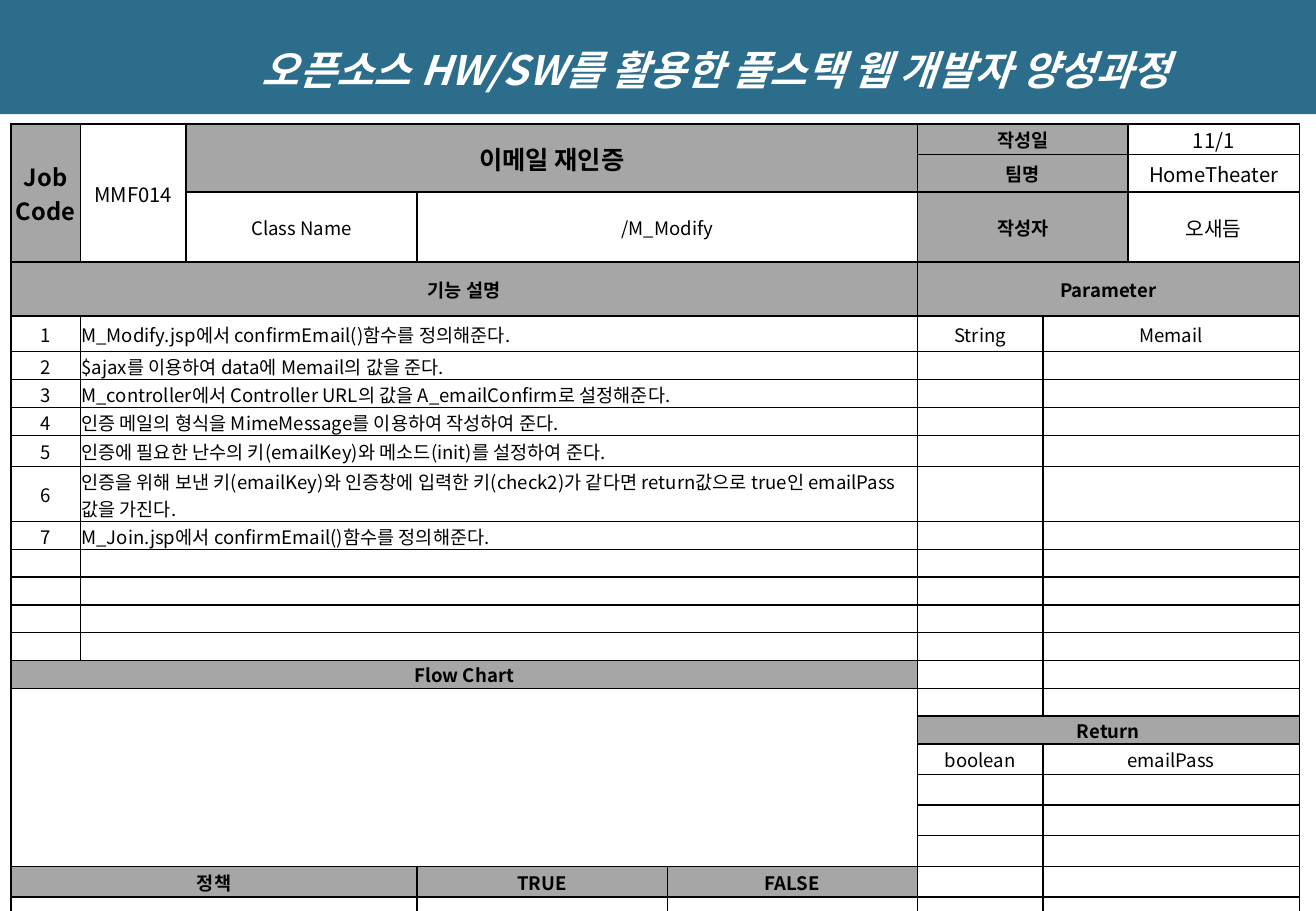
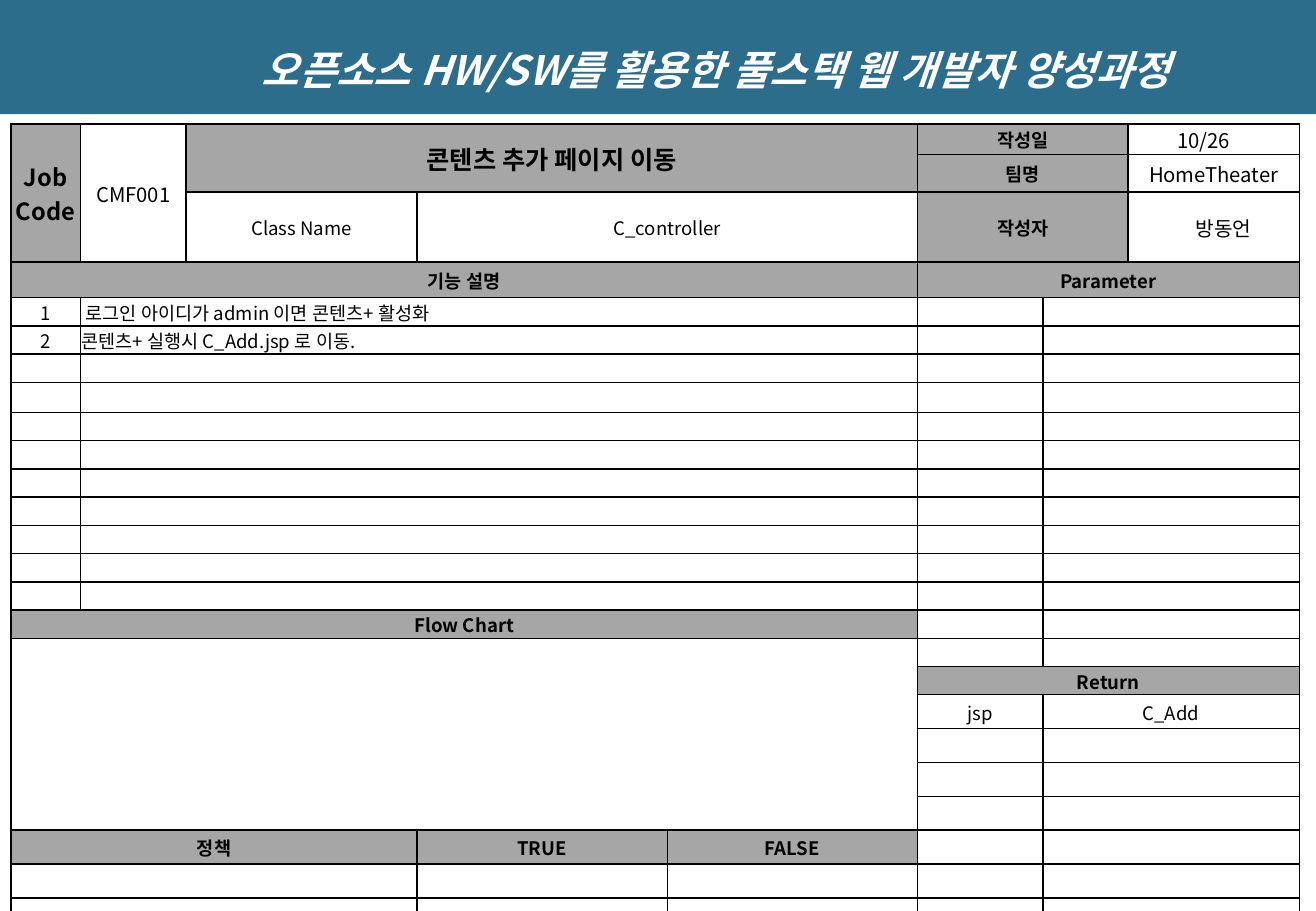
from lxml import etree
from pptx import Presentation, util as u
from pptx.dml.color import RGBColor
from pptx.enum import text as t
from pptx.oxml.ns import qn

FONT = "Noto Sans CJK KR"
BAND, GREY, WHITE, BLACK = "2C6D8B", "A6A6A6", "FFFFFF", "000000"
COURSE = "오픈소스 HW/SW를 활용한 풀스택 웹 개발자 양성과정"

# Geometry in centimetres
SLIDE_WIDTH, SLIDE_HEIGHT = 27.51, 19.05
BAND_BOX = (0, 0, SLIDE_WIDTH, 2.39)
TABLE_LEFT, TABLE_TOP = 0.23, 2.59
COLUMNS = [1.45, 2.21, 4.83, 5.23, 5.23, 2.62, 1.78, 3.58]
HEADER_ROWS = [0.61, 0.79, 1.45]

# First row of each section of the form
DESCRIPTION, FLOW, RETURN, POLICY, END = 3, 15, 17, 22, 25

FORMS = [
    {
        "code": "MMF014", "title": "이메일 재인증", "class": "/M_Modify",
        "date": "11/1", "author": "오새듬",
        "steps": [
            "M_Modify.jsp에서 confirmEmail()함수를 정의해준다.",
            "$ajax를 이용하여 data에 Memail의 값을 준다.",
            "M_controller에서 Controller URL의 값을 A_emailConfirm로 설정해준다.",
            "인증 메일의 형식을 MimeMessage를 이용하여 작성하여 준다.",
            "인증에 필요한 난수의 키(emailKey)와 메소드(init)를 설정하여 준다.",
            "인증을 위해 보낸 키(emailKey)와 인증창에 입력한 키(check2)가 같다면 "
            "return값으로 true인 emailPass  값을 가진다.",
            "M_Join.jsp에서 confirmEmail()함수를 정의해준다.",
        ],
        "parameter": ("String", "Memail"), "return": ("boolean", "emailPass"),
        "rows": HEADER_ROWS + [1.13, 0.75] + [0.58] * 3 + [0.65, 1.13]
                + [0.58] * 8 + [0.64] * 7,
    },
    {
        "code": "CMF001", "title": "콘텐츠 추가 페이지 이동", "class": "C_controller",
        "date": "10/26　", "author": "　방동언",
        "steps": [
            " 로그인 아이디가 admin 이면 콘텐츠+ 활성화",
            "콘텐츠+ 실행시 C_Add.jsp 로 이동.",
        ],
        "parameter": ("", ""), "return": ("jsp", "C_Add"),
        "rows": HEADER_ROWS + [0.75] + [0.59] * 3 + [0.63] + [0.59] * 9
                + [0.58] + [0.71] * 7,
    },
]


def color(value):
    return RGBColor.from_string(value)


def apply(target, values):
    for name, value in values.items():
        setattr(target, name, value)


def format_runs(paragraph, size, bold, ink, italic=False):
    for run in paragraph.runs:
        apply(run.font, {"name": FONT, "size": u.Pt(size), "bold": bold, "italic": italic})
        run.font.color.rgb = color(ink)
        # Korean letters take the East Asian font
        etree.SubElement(run.font._element, qn("a:ea"), typeface=FONT)


def add_title_band(slide, box):
    title = slide.shapes.title
    left, top, width, height = map(u.Cm, box)
    apply(title, {"left": left, "top": top, "width": width, "height": height})
    title.fill.solid()
    title.fill.fore_color.rgb = color(BAND)
    frame = title.text_frame
    frame.text = COURSE
    apply(frame, {
        "auto_size": t.MSO_AUTO_SIZE.NONE, "word_wrap": True,
        "vertical_anchor": t.MSO_ANCHOR.MIDDLE,
        "margin_left": u.Cm(2.67), "margin_right": u.Cm(0.25),
        "margin_top": u.Cm(0.13), "margin_bottom": u.Cm(0.13),
    })
    paragraph = frame.paragraphs[0]
    apply(paragraph, {"alignment": t.PP_ALIGN.CENTER, "line_spacing": 1.5})
    format_runs(paragraph, 24, True, WHITE, italic=True)


def style_blank_cell(cell):
    inset = u.Cm(0.02)
    apply(cell, {
        "margin_left": inset, "margin_right": inset, "margin_top": inset,
        "margin_bottom": 0, "vertical_anchor": t.MSO_ANCHOR.MIDDLE,
    })
    # Thin black border on every side, placed before the fill
    properties = cell._tc.get_or_add_tcPr()
    for side in ("a:lnL", "a:lnR", "a:lnT", "a:lnB"):
        line = etree.SubElement(properties, qn(side), w=str(u.Pt(1)))
        fill = etree.SubElement(line, qn("a:solidFill"))
        etree.SubElement(fill, qn("a:srgbClr"), val=BLACK)
    cell.fill.solid()
    cell.fill.fore_color.rgb = color(WHITE)
    # Small text size keeps empty rows low
    etree.SubElement(cell.text_frame.paragraphs[0]._p, qn("a:endParaRPr"), sz="1000")


def put(table, row, column, text="", rows=1, columns=1, size=11, bold=False,
        align=t.PP_ALIGN.CENTER):
    cell = table.cell(row, column)
    if rows * columns > 1:
        cell.merge(table.cell(row + rows - 1, column + columns - 1))
    if text:
        cell.text = text
        for paragraph in cell.text_frame.paragraphs:
            paragraph.alignment = align
            format_runs(paragraph, size, bold, BLACK)
    return cell


def put_heading(table, row, column, text, rows=1, columns=1, size=11):
    cell = put(table, row, column, text, rows, columns, size, bold=True)
    cell.fill.fore_color.rgb = color(GREY)


def fill_header(table, form):
    put_heading(table, 0, 0, "Job\nCode", rows=3, size=14)
    put(table, 0, 1, form["code"], rows=3, size=12)
    put_heading(table, 0, 2, form["title"], rows=2, columns=3, size=15)
    put(table, 2, 2, "Class Name")
    put(table, 2, 3, form["class"], columns=2)
    details = [("작성일", form["date"]), ("팀명", "HomeTheater"), ("작성자", form["author"])]
    for row, (label, value) in enumerate(details):
        put_heading(table, row, 5, label, columns=2)
        put(table, row, 7, value, size=12)


def fill_steps(table, steps):
    put_heading(table, DESCRIPTION, 0, "기능 설명", columns=5)
    for index, row in enumerate(range(DESCRIPTION + 1, FLOW)):
        step = steps[index] if index < len(steps) else ""
        put(table, row, 0, str(index + 1) if step else "")
        put(table, row, 1, step, columns=4, align=t.PP_ALIGN.LEFT)


def fill_pairs(table, heading, first, last, pair):
    """Heading over name and value rows in the right-hand columns."""
    put_heading(table, first, 5, heading, columns=3)
    for row in range(first + 1, last):
        name, value = pair if row == first + 1 else ("", "")
        put(table, row, 5, name)
        put(table, row, 6, value, columns=2)


def fill_flow_and_policy(table):
    put_heading(table, FLOW, 0, "Flow Chart", columns=5)
    put(table, FLOW + 1, 0, rows=POLICY - FLOW - 1, columns=5)
    put_heading(table, POLICY, 0, "정책", columns=3)
    put_heading(table, POLICY, 3, "TRUE")
    put_heading(table, POLICY, 4, "FALSE")
    for row in range(POLICY + 1, END):
        put(table, row, 0, columns=3)


def add_form_table(slide, left, top, form):
    heights = form["rows"]
    table = slide.shapes.add_table(
        len(heights), len(COLUMNS), u.Cm(left), u.Cm(top),
        u.Cm(sum(COLUMNS)), u.Cm(sum(heights))).table
    apply(table, {"first_row": False, "horz_banding": False})
    for column, width in zip(table.columns, COLUMNS):
        column.width = u.Cm(width)
    for row, height in zip(table.rows, heights):
        row.height = u.Cm(height)
    for cell in table.iter_cells():
        style_blank_cell(cell)

    fill_header(table, form)
    fill_steps(table, form["steps"])
    fill_pairs(table, "Parameter", DESCRIPTION, RETURN, form["parameter"])
    fill_pairs(table, "Return", RETURN, END, form["return"])
    fill_flow_and_policy(table)


def main():
    presentation = Presentation()
    apply(presentation, {"slide_width": u.Cm(SLIDE_WIDTH), "slide_height": u.Cm(SLIDE_HEIGHT)})
    title_only = presentation.slide_layouts[5]
    for form in FORMS:
        slide = presentation.slides.add_slide(title_only)
        add_title_band(slide, BAND_BOX)
        add_form_table(slide, TABLE_LEFT, TABLE_TOP, form)
    presentation.save("out.pptx")


if __name__ == "__main__":
    main()
